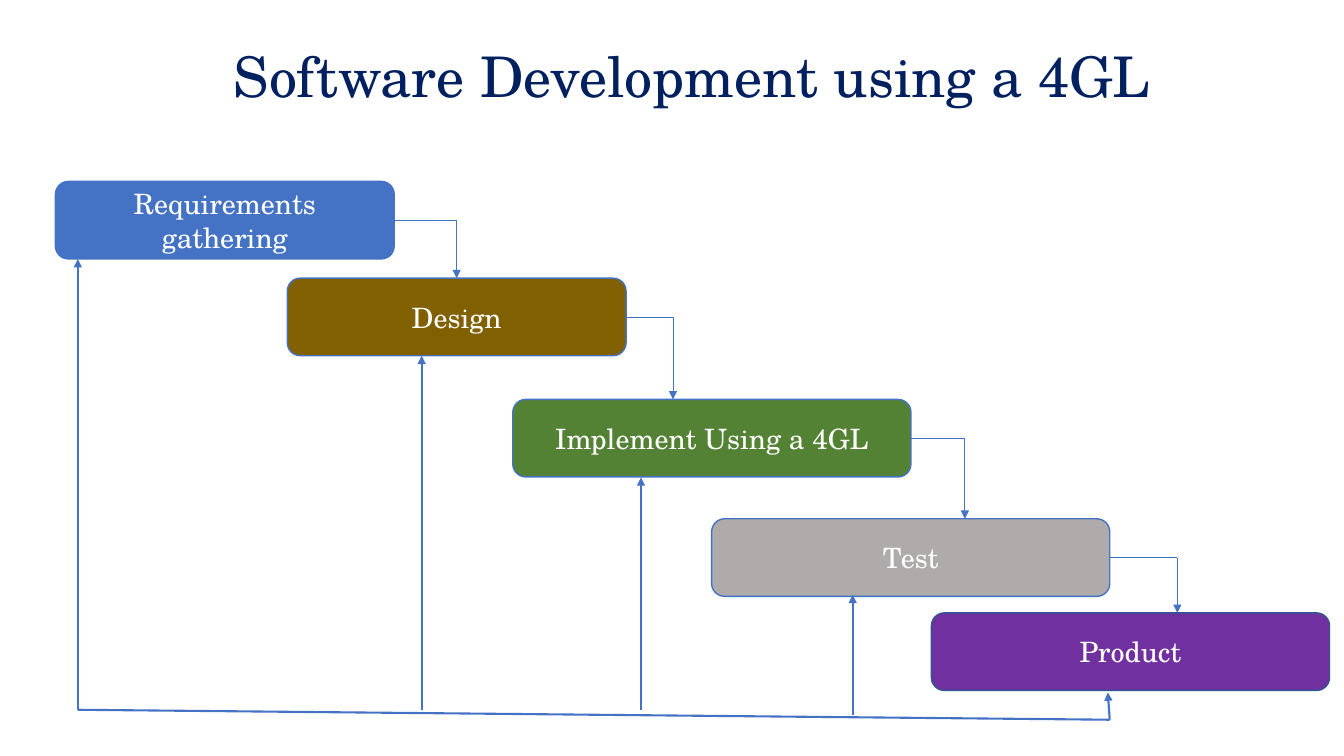
from lxml import etree
from pptx import Presentation
from pptx.dml.color import RGBColor
from pptx.enum.shapes import MSO_CONNECTOR, MSO_SHAPE
from pptx.enum.text import MSO_ANCHOR, PP_ALIGN
from pptx.oxml.ns import qn
from pptx.util import Pt

STRAIGHT = MSO_CONNECTOR.STRAIGHT
ROUNDED = MSO_SHAPE.ROUNDED_RECTANGLE
MIDDLE = MSO_ANCHOR.MIDDLE
CENTER = PP_ALIGN.CENTER

FONT = "TeX Gyre Schola"
NAVY = RGBColor(0x00, 0x20, 0x60)
WHITE = RGBColor(0xFF, 0xFF, 0xFF)
BLUE = RGBColor(0x44, 0x72, 0xC4)
DARK_BLUE = RGBColor(0x32, 0x54, 0x91)
BROWN = RGBColor(0x80, 0x60, 0x00)
GREEN = RGBColor(0x54, 0x82, 0x35)
GRAY = RGBColor(0xAF, 0xAB, 0xAB)
PURPLE = RGBColor(0x70, 0x30, 0xA0)

STAGE_HEIGHT = 55.4
# label, left, top, width, fill, outline
STAGES = [
    ("Requirements gathering", 39.6, 129.6, 242, BLUE, BLUE),
    ("Design", 205.2, 198.7, 242, BROWN, BLUE),
    ("Implement Using a 4GL", 366.3, 285.3, 284.4, GREEN, BLUE),
    ("Test", 508.3, 370.6, 284.4, GRAY, BLUE),
    ("Product", 665.3, 437.8, 284.4, PURPLE, DARK_BLUE),
]
STEP_XS = [326.2, 480.7, 689.2, 841]
# x, start y, end y of each arrow that leads back up to a stage
FEEDBACK = [
    (55.6, 507, 185),
    (301.2, 507, 254.1),
    (457.9, 507, 341),
    (609.1, 510.5, 424.8),
]
RAIL_START = (55.6, 507)
RAIL_END = (792.7, 514.1)
PRODUCT_ENTRY = (791.3, 494.6)


def write_text(frame, text, size, color):
    frame.word_wrap = True
    para = frame.paragraphs[0]
    para.alignment = CENTER
    span = para.add_run()
    span.text = text
    span.font.name = FONT
    span.font.size = Pt(size)
    span.font.color.rgb = color


def add_title(page, text):
    box = page.shapes.add_textbox(Pt(95), Pt(25.9), Pt(798.5), Pt(55.4))
    write_text(box.text_frame, text, 40, NAVY)


def add_stage(page, label, left, top, width, fill, outline):
    box = page.shapes.add_shape(ROUNDED, Pt(left), Pt(top), Pt(width), Pt(STAGE_HEIGHT))
    box.shadow.inherit = False
    box.fill.solid()
    box.fill.fore_color.rgb = fill
    box.line.color.rgb = outline
    box.line.width = Pt(1)
    box.text_frame.vertical_anchor = MIDDLE
    write_text(box.text_frame, label, 20, WHITE)


def add_line(page, start, end, weight, arrow=False):
    line = page.shapes.add_connector(STRAIGHT, *map(Pt, start + end))
    line.line.color.rgb = BLUE
    line.line.width = Pt(weight)
    if arrow:
        etree.SubElement(line.line._get_or_add_ln(), qn("a:tailEnd"), type="triangle")
    etree.SubElement(line._element.spPr, qn("a:effectLst"))


def add_step(page, stage, following, corner_x):
    """Lead from the right side of a stage down to the top of the following one."""
    _, left, top, width, _, _ = stage
    middle = top + STAGE_HEIGHT / 2
    corner = (corner_x, middle)
    add_line(page, (left + width, middle), corner, 0.5)
    add_line(page, corner, (corner_x, following[2]), 0.5, arrow=True)


def main():
    deck = Presentation()
    deck.slide_width = Pt(960)
    deck.slide_height = Pt(540)
    page = deck.slides.add_slide(deck.slide_layouts[6])

    add_title(page, "Software Development using a 4GL")
    for stage in STAGES:
        add_stage(page, *stage)

    add_line(page, RAIL_START, RAIL_END, 1.5)
    add_line(page, RAIL_END, PRODUCT_ENTRY, 1.5, arrow=True)
    for x, bottom, top in FEEDBACK:
        add_line(page, (x, bottom), (x, top), 1.5, arrow=True)
    for stage, following, corner_x in zip(STAGES, STAGES[1:], STEP_XS):
        add_step(page, stage, following, corner_x)

    deck.save("out.pptx")


if __name__ == "__main__":
    main()
